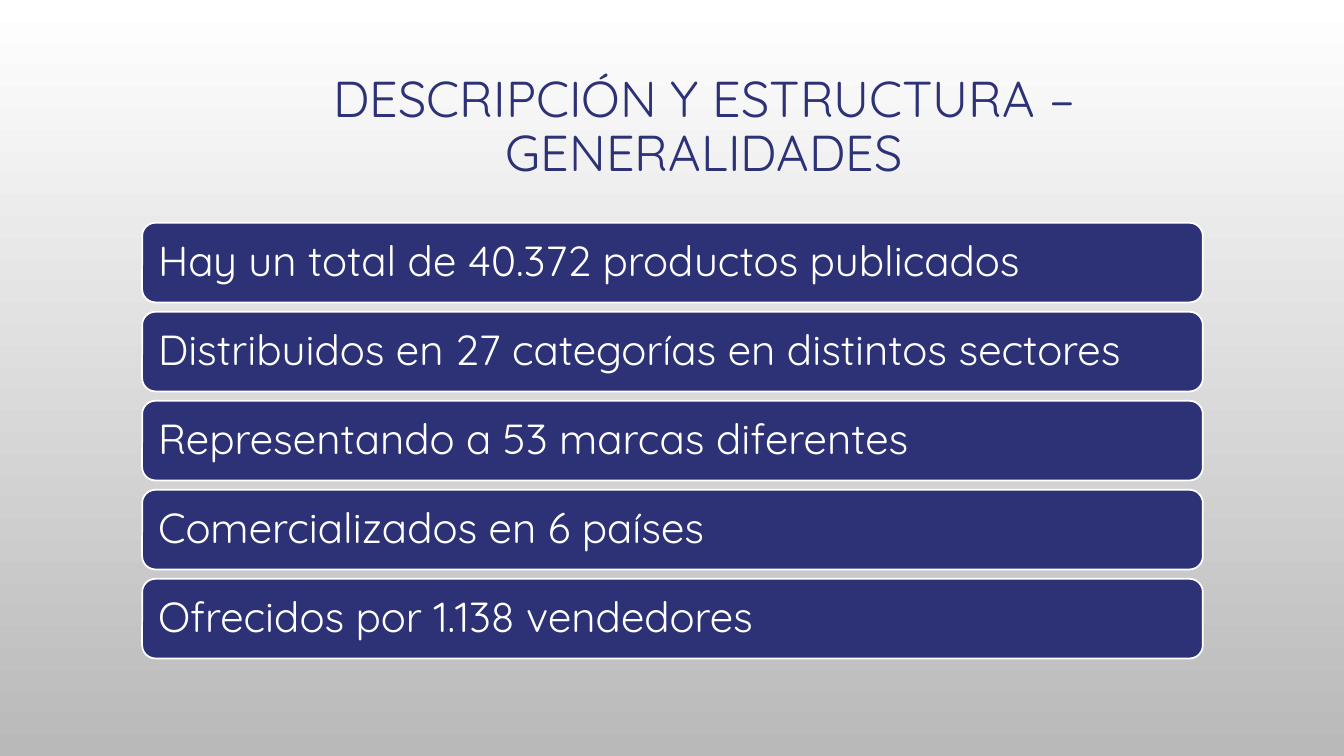
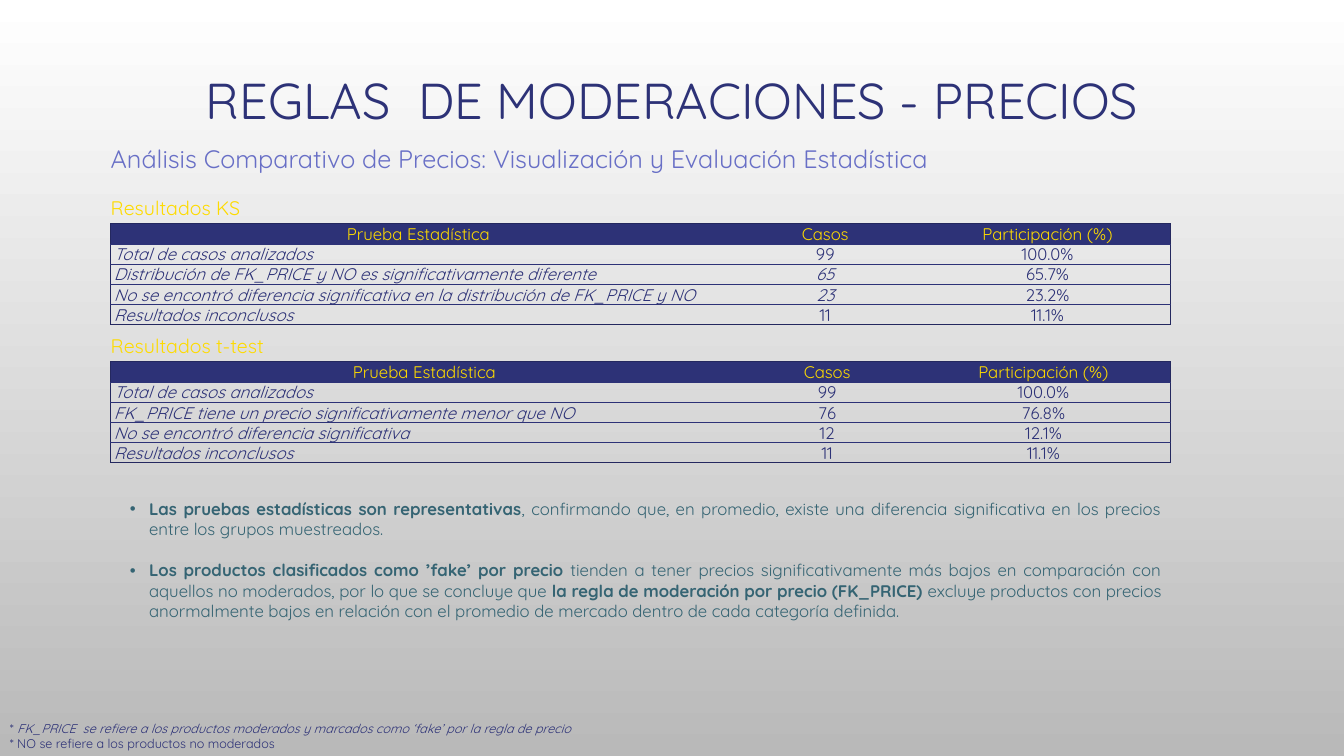
"""Build two slides on catalogue structure and price moderation rules."""
import dataclasses

import lxml.etree
import pptx
import pptx.dml.color
import pptx.enum.shapes
import pptx.enum.text
import pptx.oxml.ns
import pptx.util

Inches = pptx.util.Inches
Pt = pptx.util.Pt
RGB = pptx.dml.color.RGBColor.from_string
ALIGN = pptx.enum.text.PP_ALIGN
ANCHOR = pptx.enum.text.MSO_ANCHOR
qn = pptx.oxml.ns.qn


@dataclasses.dataclass(frozen=True)
class Theme:
    """Colours, font and type sizes of the deck."""
    font: str = "Quicksand"
    navy: str = "2D3277"
    edge: str = "24285F"
    violet: str = "686FC6"
    yellow: str = "FEDB00"
    teal: str = "356473"
    white: str = "FFFFFF"
    grey: str = "B9B9B9"
    title: int = 36
    bar: int = 30
    subtitle: int = 18
    heading: int = 14
    body: int = 12
    note: int = 9


theme = Theme()


def write(frame, *paragraphs, size, color, align=ALIGN.LEFT, anchor=ANCHOR.TOP,
          spacing=None, after=0, margins=(0.1, 0.05), bullet=None):
    """Fill a frame; each paragraph is a list of (text, style) pairs."""
    frame.word_wrap = True
    frame.vertical_anchor = anchor
    frame.margin_left = frame.margin_right = Inches(margins[0])
    frame.margin_top = frame.margin_bottom = Inches(margins[1])
    for index, spans in enumerate(paragraphs):
        para = frame.add_paragraph() if index else frame.paragraphs[0]
        para.alignment = align
        para.line_spacing = spacing
        para.space_after = Pt(after)
        if bullet:
            properties = para._p.get_or_add_pPr()
            properties.set("marL", str(Inches(0.19)))
            properties.set("indent", str(Inches(-0.19)))
            font = lxml.etree.SubElement(properties, qn("a:buFont"))
            font.set("typeface", "Arial")
            lxml.etree.SubElement(properties, qn("a:buChar")).set("char", bullet)
        for text, style in spans:
            span = para.add_run()
            span.text = text
            span.font.name = theme.font
            span.font.size = Pt(size)
            span.font.color.rgb = RGB(color)
            span.font.bold = style == "bold"
            span.font.italic = style == "italic"


def add_text(slide, place, *paragraphs, **text_format):
    """Add a text box at left, top, width, height in inches."""
    box = slide.shapes.add_textbox(*map(Inches, place))
    write(box.text_frame, *paragraphs, **text_format)


deck = pptx.Presentation()
deck.slide_width = Inches(13.33)
deck.slide_height = Inches(7.5)

titles = [
    ("DESCRIPCIÓN Y ESTRUCTURA – GENERALIDADES", (1.41, 0.67, 11.15, 1.2)),
    ("REGLAS  DE MODERACIONES - PRECIOS", (1, 0.68, 11.33, 0.69)),
]
pages = []
for title, place in titles:
    page = deck.slides.add_slide(deck.slide_layouts[6])
    fill = page.background.fill
    fill.gradient()
    fill.gradient_angle = 270
    for stop, color in zip(fill.gradient_stops, (theme.white, theme.grey)):
        stop.color.rgb = RGB(color)
    add_text(page, place, [(title, "")], size=theme.title, color=theme.navy,
             align=ALIGN.CENTER, anchor=ANCHOR.MIDDLE, spacing=0.9)
    pages.append(page)
overview, prices = pages

facts = [
    "Hay un total de 40.372 productos publicados",
    "Distribuidos en 27 categorías en distintos sectores",
    "Representando a 53 marcas diferentes",
    "Comercializados en 6 países",
    "Ofrecidos por 1.138 vendedores",
]
for index, fact in enumerate(facts):
    bar = overview.shapes.add_shape(
        pptx.enum.shapes.MSO_SHAPE.ROUNDED_RECTANGLE,
        Inches(1.41), Inches(2.21 + index * 0.883), Inches(10.52), Inches(0.79))
    bar.shadow.inherit = False
    bar.fill.solid()
    bar.fill.fore_color.rgb = RGB(theme.navy)
    bar.line.color.rgb = RGB(theme.white)
    bar.line.width = Pt(1.25)
    write(bar.text_frame, [(fact, "")], size=theme.bar, color=theme.white,
          anchor=ANCHOR.MIDDLE, spacing=0.9, margins=(0.12, 0.12))

add_text(prices, (1, 1.37, 9.67, 0.4),
         [("Análisis Comparativo de Precios: Visualización y Evaluación Estadística", "")],
         size=theme.subtitle, color=theme.violet)

header = ("Prueba Estadística", "Casos", "Participación (%)")
results = [
    ("Resultados KS", 1.89, (6.1, 1.97, 2.44), ("65", "23"), [
        header,
        ("Total de casos analizados", "99", "100.0%"),
        ("Distribución de FK_PRICE y NO es significativamente diferente", "65", "65.7%"),
        ("No se encontró diferencia significativa en la distribución de FK_PRICE y NO",
         "23", "23.2%"),
        ("Resultados inconclusos", "11", "11.1%"),
    ]),
    ("Resultados t-test", 3.26, (6.22, 1.77, 2.52), (), [
        header,
        ("Total de casos analizados", "99", "100.0%"),
        ("FK_PRICE tiene un precio significativamente menor que NO", "76", "76.8%"),
        ("No se encontró diferencia significativa", "12", "12.1%"),
        ("Resultados inconclusos", "11", "11.1%"),
    ]),
]
for heading, top, widths, italic_counts, rows in results:
    add_text(prices, (1, top, 9.67, 0.34), [(heading, "")],
             size=theme.heading, color=theme.yellow)
    table = prices.shapes.add_table(
        len(rows), len(widths), Inches(1.1), Inches(top + 0.33),
        Inches(sum(widths)), Inches(len(rows) * 0.2)).table
    table.horz_banding = False
    for column, width in zip(table.columns, widths):
        column.width = Inches(width)
    last_row, last_column = len(rows) - 1, len(widths) - 1
    for row_index, row in enumerate(rows):
        table.rows[row_index].height = Inches(0.2)
        for column_index, text in enumerate(row):
            cell = table.cell(row_index, column_index)
            is_header = row_index == 0
            is_label = column_index == 0 and not is_header
            write(cell.text_frame,
                  [(text, "italic" if is_label or text in italic_counts else "")],
                  size=theme.body, color=theme.yellow if is_header else theme.navy,
                  align=ALIGN.LEFT if is_label else ALIGN.CENTER)
            cell.vertical_anchor = ANCHOR.BOTTOM
            cell.margin_left = cell.margin_right = Inches(0.03)
            cell.margin_top = cell.margin_bottom = 0
            if is_header:
                cell.fill.solid()
                cell.fill.fore_color.rgb = RGB(theme.navy)
            else:
                cell.fill.background()
            outer, inner = (theme.edge, 0.75), (theme.navy, 0.5)
            borders = {
                "a:lnL": outer if column_index == 0 else None,
                "a:lnR": outer if column_index == last_column else None,
                "a:lnT": outer if is_header else inner,
                "a:lnB": outer if row_index == last_row else inner,
            }
            properties = cell._tc.get_or_add_tcPr()
            for position, (side, border) in enumerate(borders.items()):
                line = properties.makeelement(qn(side), {})
                properties.insert(position, line)
                if border:
                    line.set("w", str(Pt(border[1])))
                    paint = lxml.etree.SubElement(line, qn("a:solidFill"))
                    lxml.etree.SubElement(paint, qn("a:srgbClr")).set("val", border[0])
                else:
                    lxml.etree.SubElement(line, qn("a:noFill"))

add_text(
    prices, (1.19, 4.9, 10.43, 1.31),
    [("Las pruebas estadísticas son representativas", "bold"),
     (", confirmando que, en promedio, existe una diferencia significativa en los "
      "precios entre los grupos muestreados.", "")],
    [("Los productos clasificados como ’fake’ por precio", "bold"),
     (" tienden a tener precios significativamente más bajos en comparación con "
      "aquellos no moderados, por lo que se concluye que ", ""),
     ("la regla de moderación por precio (FK_PRICE) ", "bold"),
     ("excluye productos con precios anormalmente bajos en relación con el promedio "
      "de mercado dentro de cada categoría definida.", "")],
    size=theme.body, color=theme.teal, align=ALIGN.JUSTIFY, after=15, bullet="•")

add_text(
    prices, (0, 7.1, 9.67, 0.4),
    [("* ", ""),
     ("FK_PRICE  se refiere a los productos moderados y marcados como ‘fake’ "
      "por la regla de precio", "italic")],
    [("* NO se refiere a los productos no moderados", "")],
    size=theme.note, color=theme.navy)

deck.save("out.pptx")
